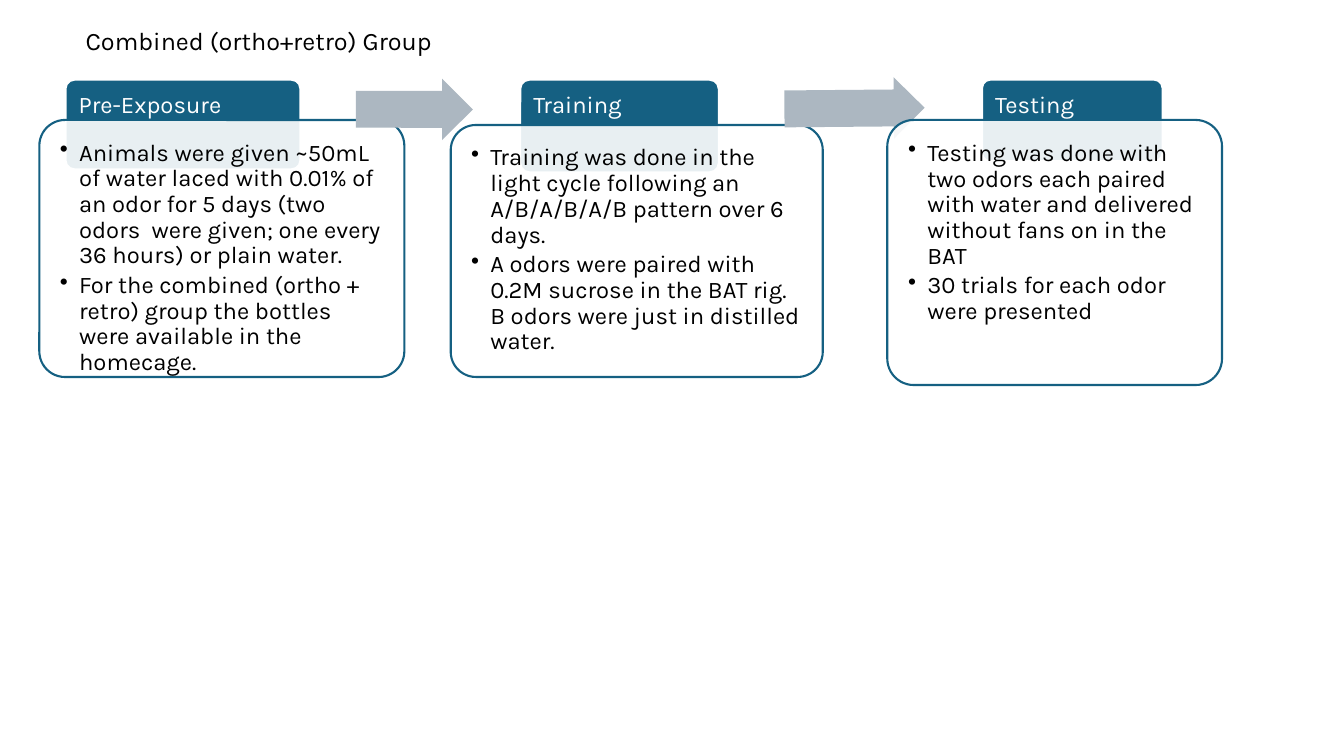
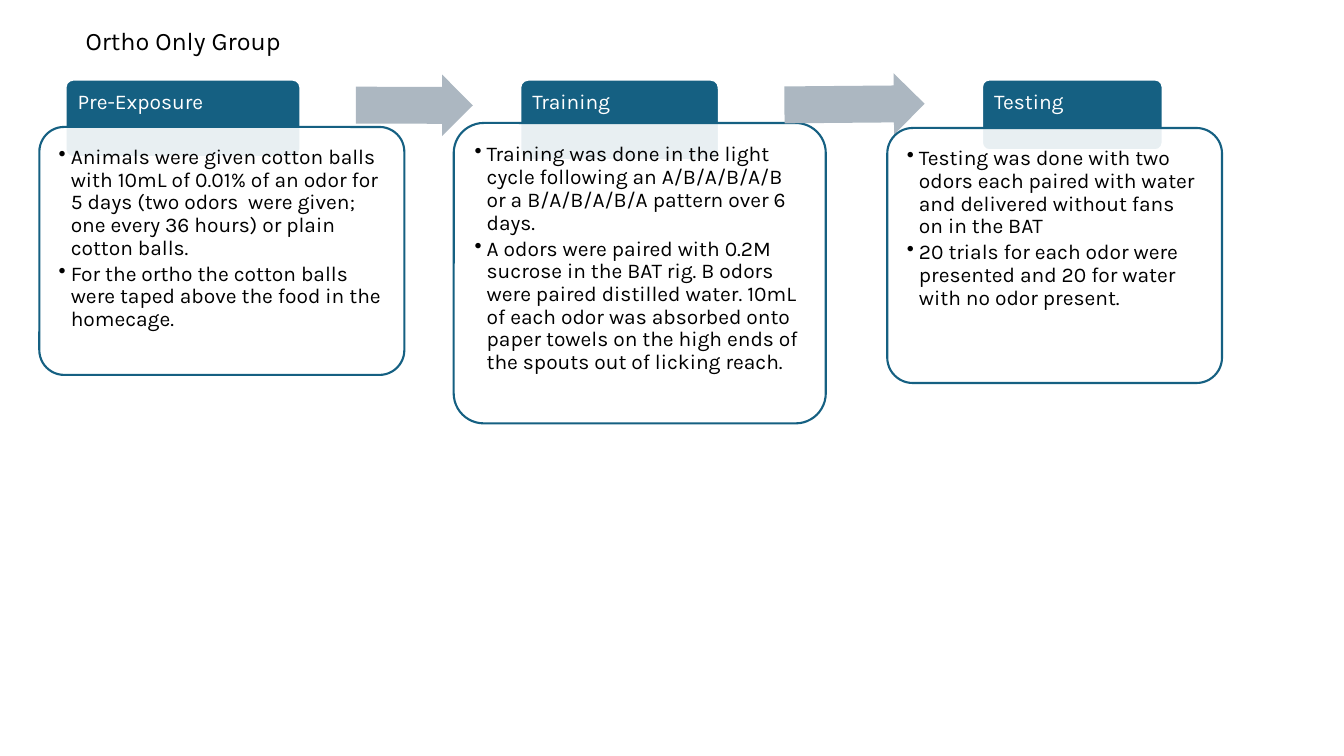
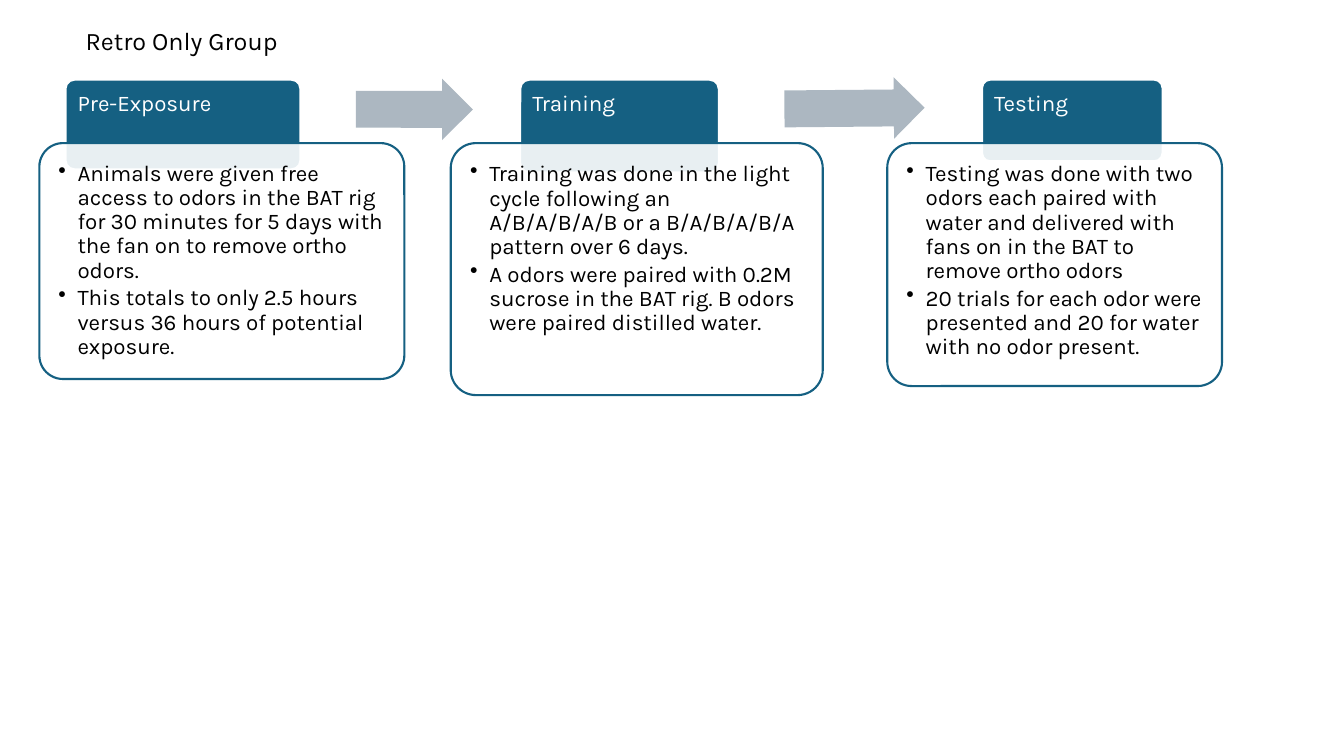
"""Three slides comparing the pre-exposure, training and testing steps of each odor group."""
from pptx import Presentation
from pptx.dml.color import RGBColor
from pptx.enum.shapes import MSO_SHAPE as SHAPE
from pptx.enum.text import MSO_ANCHOR as ANCHOR, PP_ALIGN as ALIGN
from pptx.oxml.ns import qn
from pptx.util import Inches, Pt
from lxml import etree

TEAL = RGBColor(0x15, 0x60, 0x82)
GRAY = RGBColor(0xAC, 0xB7, 0xC1)
WHITE = RGBColor(0xFF, 0xFF, 0xFF)
BLACK = RGBColor(0x00, 0x00, 0x00)
FONT = "Karla"
CORNER = 0.1
TAB_TOP = 0.79
STEPS = ["Pre-Exposure", "Training", "Testing"]
TABS = [(0.65, 2.33), (5.16, 1.97), (9.74, 1.79)]
ARROWS = [(3.53, 0.78, 1.16, 0.1), (7.78, 0.77, 1.39, 359.5)]

GROUPS = [
    dict(
        title="Combined (ortho+retro) Group", size=17, pad=0.13, indent=0.19, lift=0,
        tab_heights=[0.89, 0.92, 0.81],
        cards=[(0.39, 1.19, 3.62, 2.55), (4.47, 1.24, 3.69, 2.5), (8.8, 1.19, 3.32, 2.63)],
        bullets=[
            ["Animals were given ~50mL of water laced with 0.01% of an odor for 5 days "
             "(two odors  were given; one every 36 hours) or plain water.",
             "For the combined (ortho + retro) group the bottles were available in the homecage."],
            ["Training was done in the light cycle following an A/B/A/B/A/B pattern over 6 days.",
             "A odors were paired with 0.2M sucrose in the BAT rig. "
             "B odors were just in distilled water."],
            ["Testing was done with two odors each paired with water and delivered "
             "without fans on in the BAT",
             "30 trials for each odor were presented"],
        ],
    ),
    dict(
        title="Ortho Only Group", size=15, pad=0.12, indent=0.12, lift=0.04,
        tab_heights=[0.77, 0.8, 0.7],
        cards=[(0.39, 1.26, 3.62, 2.46), (4.5, 1.22, 3.69, 2.98), (8.8, 1.27, 3.32, 2.53)],
        bullets=[
            ["Animals were given cotton balls with 10mL of 0.01% of an odor for 5 days "
             "(two odors  were given; one every 36 hours) or plain cotton balls.",
             "For the ortho the cotton balls were taped above the food in the homecage."],
            ["Training was done in the light cycle following an A/B/A/B/A/B "
             "or a B/A/B/A/B/A pattern over 6 days.",
             "A odors were paired with 0.2M sucrose in the BAT rig. B odors were paired "
             "distilled water. 10mL of each odor was absorbed onto paper towels on the "
             "high ends of the spouts out of licking reach."],
            ["Testing was done with two odors each paired with water and delivered "
             "without fans on in the BAT",
             "20 trials for each odor were presented and 20 for water with no odor present."],
        ],
    ),
    dict(
        title="Retro Only Group", size=16, pad=0.12, indent=0.19, lift=0,
        tab_heights=[0.89, 0.92, 0.81],
        cards=[(0.39, 1.42, 3.62, 2.34), (4.47, 1.42, 3.69, 2.5), (8.8, 1.42, 3.32, 2.41)],
        bullets=[
            ["Animals were given free access to odors in the BAT rig for 30 minutes "
             "for 5 days with the fan on to remove ortho odors.",
             "This totals to only 2.5 hours versus 36 hours of potential exposure."],
            ["Training was done in the light cycle following an A/B/A/B/A/B "
             "or a B/A/B/A/B/A pattern over 6 days.",
             "A odors were paired with 0.2M sucrose in the BAT rig. "
             "B odors were paired distilled water."],
            ["Testing was done with two odors each paired with water and delivered "
             "with fans on in the BAT to remove ortho odors",
             "20 trials for each odor were presented and 20 for water with no odor present."],
        ],
    ),
]


def write(sp, lines, size, color=BLACK, pad=(0.1, 0.05), spacing=1.0, indent=0):
    tf = sp.text_frame
    tf.word_wrap = True
    tf.vertical_anchor = ANCHOR.TOP
    tf.margin_left = tf.margin_right = Inches(pad[0])
    tf.margin_top = tf.margin_bottom = Inches(pad[1])
    for i, line in enumerate(lines):
        p = tf.add_paragraph() if i else tf.paragraphs[0]
        p.alignment = ALIGN.LEFT
        p.line_spacing = spacing
        r = p.add_run()
        r.text = line
        r.font.name, r.font.size, r.font.color.rgb = FONT, Pt(size), color
        if indent:
            p.space_after = Pt(round(0.16 * size, 1))
            pPr = p._p.get_or_add_pPr()
            pPr.set("marL", str(Inches(indent)))
            pPr.set("indent", str(-Inches(indent)))
            etree.SubElement(pPr, qn("a:buChar")).set("char", "•")


def add_box(s, kind, box, fill, line=None, adj=(CORNER,)):
    sp = s.shapes.add_shape(kind, *[Inches(v) for v in box])
    sp.shadow.inherit = False
    for i, value in enumerate(adj):
        sp.adjustments[i] = value
    sp.fill.solid()
    sp.fill.fore_color.rgb = fill
    if line is None:
        sp.line.fill.background()
    else:
        sp.line.color.rgb = line
        sp.line.width = Pt(1.5)
    return sp


prs = Presentation()
prs.slide_width, prs.slide_height = Inches(13.33), Inches(7.5)

for group in GROUPS:
    s = prs.slides.add_slide(prs.slide_layouts[6])
    size, pad = group["size"], group["pad"]
    for i, step in enumerate(STEPS):
        left, width = TABS[i]
        height = group["tab_heights"][i]
        tab = add_box(s, SHAPE.ROUNDED_RECTANGLE, (left, TAB_TOP, width, height), TEAL, WHITE)
        tab_pad = pad - 0.29 * CORNER * height
        write(tab, [step], size, color=WHITE, pad=(tab_pad, tab_pad), spacing=0.9)

        card = add_box(s, SHAPE.ROUNDED_RECTANGLE, group["cards"][i], WHITE, TEAL)
        color = card.fill._xPr.find(qn("a:solidFill"))[0]
        etree.SubElement(color, qn("a:alpha")).set("val", "90000")
        write(card, group["bullets"][i], size, pad=(pad, pad), spacing=0.9, indent=group["indent"])

        if i < len(ARROWS):
            left, top, width, angle = ARROWS[i]
            box = (left, top - group["lift"], width, 0.61)
            arrow = add_box(s, SHAPE.RIGHT_ARROW, box, GRAY, adj=(0.6, 0.5))
            arrow.rotation = angle

    title = s.shapes.add_textbox(Inches(0.75), Inches(0.2), Inches(3.72), Inches(0.4))
    write(title, [group["title"]], 18)

prs.save("out.pptx")
